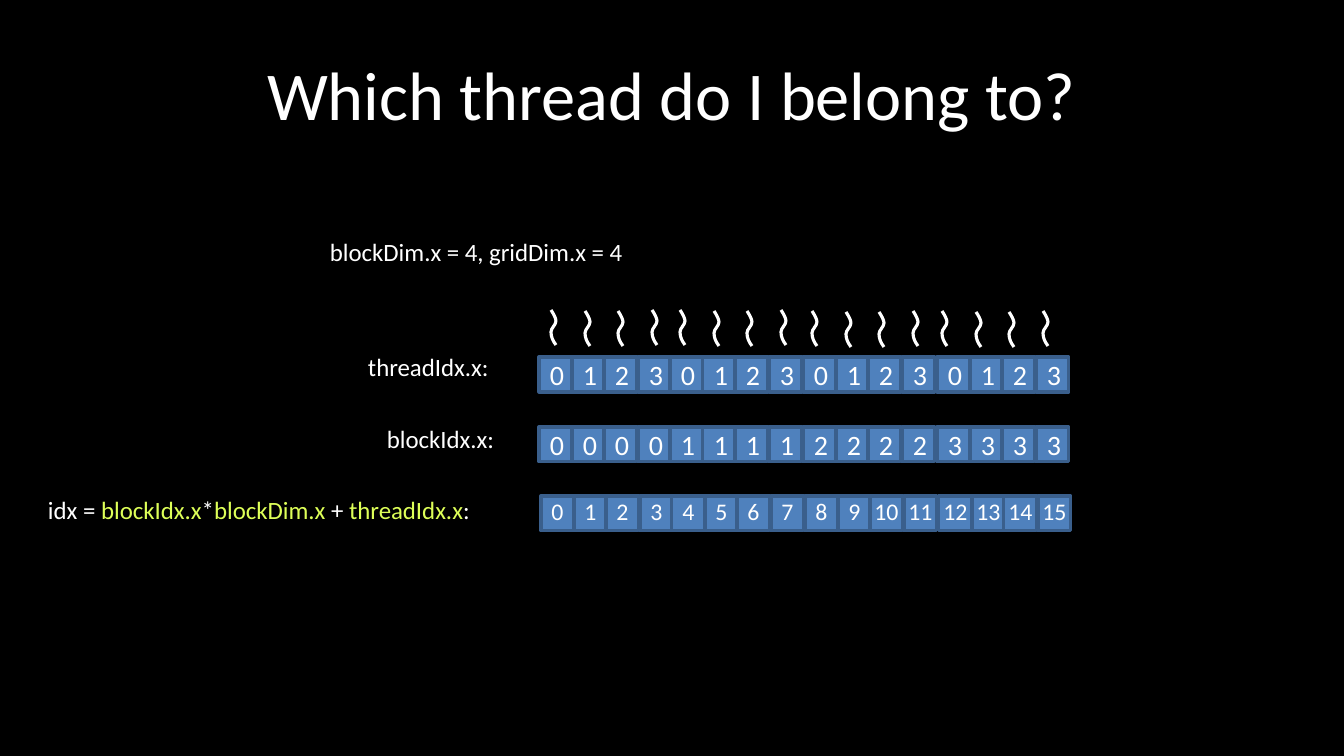
from lxml.etree import SubElement
from pptx import Presentation
from pptx.dml.color import RGBColor
from pptx.enum.shapes import MSO_SHAPE
from pptx.enum.text import MSO_ANCHOR, MSO_AUTO_SIZE, PP_ALIGN
from pptx.oxml.ns import qn
from pptx.util import Pt

WHITE = RGBColor(0xFF, 0xFF, 0xFF)
BLACK = RGBColor(0, 0, 0)
BLUE = RGBColor(0x4F, 0x81, 0xBD)
EDGE = RGBColor(0x3A, 0x5F, 0x8C)
LIME = RGBColor(0xDE, 0xFF, 0x58)
FONT = "Calibri"
PX = 914400 // 112

TITLE = "Which thread do I belong to?"
LABELS = [
    (357, 346, 145, [("threadIdx.x:", WHITE)]),
    (376, 418, 138, [("blockIdx.x:", WHITE)]),
    (319, 231, 318, [("blockDim.x = 4, gridDim.x = 4", WHITE)]),
    (37, 489, 448, [
        ("idx = ", WHITE), ("blockIdx.x", LIME), ("*", WHITE),
        ("blockDim.x", LIME), (" + ", WHITE), ("threadIdx.x", LIME),
        (":", WHITE),
    ]),
]
DIM = 4
ROWS = [
    (0, 357, 18, MSO_ANCHOR.MIDDLE, True, lambda block, thread: thread),
    (0, 427, 18, MSO_ANCHOR.MIDDLE, True, lambda block, thread: block),
    (2, 496, 15.3, MSO_ANCHOR.BOTTOM, False,
     lambda block, thread: block * DIM + thread),
]
CELL_X = [539, 670, 803, 937]
CELL_STEP = [0, 33, 65, 99]
CELL_W, CELL_H = 33, 35
WAVE_X = [551, 680, 812, 942]
WAVE_Y = [310, 310, 311, 311]
WAVE_STEP = [0, 34, 67, 101]
WAVE_DROP = [0, 1, 1, 0]
CURVES = [
    [(2, 3), (5, 8), (5, 11)],
    [(5, 15), (0, 18), (0, 22)],
    [(0, 27), (2, 31), (5, 35)],
]

deck = Presentation()
deck.slide_width, deck.slide_height = 1344 * PX, 756 * PX
slide = deck.slides.add_slide(deck.slide_layouts[6])
slide.background.fill.solid()
slide.background.fill.fore_color.rgb = BLACK
shapes = slide.shapes


def style(par, size):
    par.font.name, par.font.size = FONT, Pt(size)
    par.font.color.rgb = WHITE


def add_text(x, y, w, h, parts, size):
    frame = shapes.add_textbox(x * PX, y * PX, w * PX, h * PX).text_frame
    par = frame.paragraphs[0]
    style(par, size)
    for text, color in parts:
        run = par.add_run()
        run.text = text
        run.font.color.rgb = color
    return frame


def add_cell(x, y, text, size, anchor, wrap):
    cell = shapes.add_shape(
        MSO_SHAPE.RECTANGLE, x * PX, y * PX, CELL_W * PX, CELL_H * PX)
    cell.shadow.inherit = False
    cell.fill.solid()
    cell.fill.fore_color.rgb = BLUE
    cell.line.color.rgb, cell.line.width = EDGE, Pt(2)
    frame = cell.text_frame
    frame.word_wrap, frame.vertical_anchor = wrap, anchor
    par = frame.paragraphs[0]
    par.text, par.alignment = text, PP_ALIGN.CENTER
    style(par, size)


def add_wave(x, y):
    pen = shapes.build_freeform(x * PX, y * PX)
    ends = [curve[-1] for curve in CURVES]
    pen.add_line_segments(
        [((x + dx) * PX, (y + dy) * PX) for dx, dy in ends], close=False)
    wave = pen.convert_to_shape()
    lines = list(wave._element.iter(qn("a:lnTo")))
    for line, curve in zip(lines, CURVES):
        outline = line.getparent()
        outline.remove(line)
        bend = SubElement(outline, qn("a:cubicBezTo"))
        for dx, dy in curve:
            SubElement(bend, qn("a:pt"), x=str(dx * PX), y=str(dy * PX))
    wave.shadow.inherit = False
    wave.fill.background()
    wave.line.color.rgb, wave.line.width = WHITE, Pt(2)


title = add_text(67, 31, 1210, 125, [(TITLE, WHITE)], 44)
title.word_wrap = True
title.vertical_anchor = MSO_ANCHOR.MIDDLE
title.paragraphs[0].alignment = PP_ALIGN.CENTER

for x, y, w, parts in LABELS:
    label = add_text(x, y, w, 41, parts, 16)
    label.word_wrap = False
    label.auto_size = MSO_AUTO_SIZE.SHAPE_TO_FIT_TEXT

for shift, y, size, anchor, wrap, value in ROWS:
    for block in range(DIM):
        for thread in range(DIM):
            add_cell(CELL_X[block] + CELL_STEP[thread] + shift, y,
                     str(value(block, thread)), size, anchor, wrap)

for block in range(DIM):
    for thread in range(DIM):
        add_wave(WAVE_X[block] + WAVE_STEP[thread],
                 WAVE_Y[block] + WAVE_DROP[thread])

deck.save("out.pptx")
